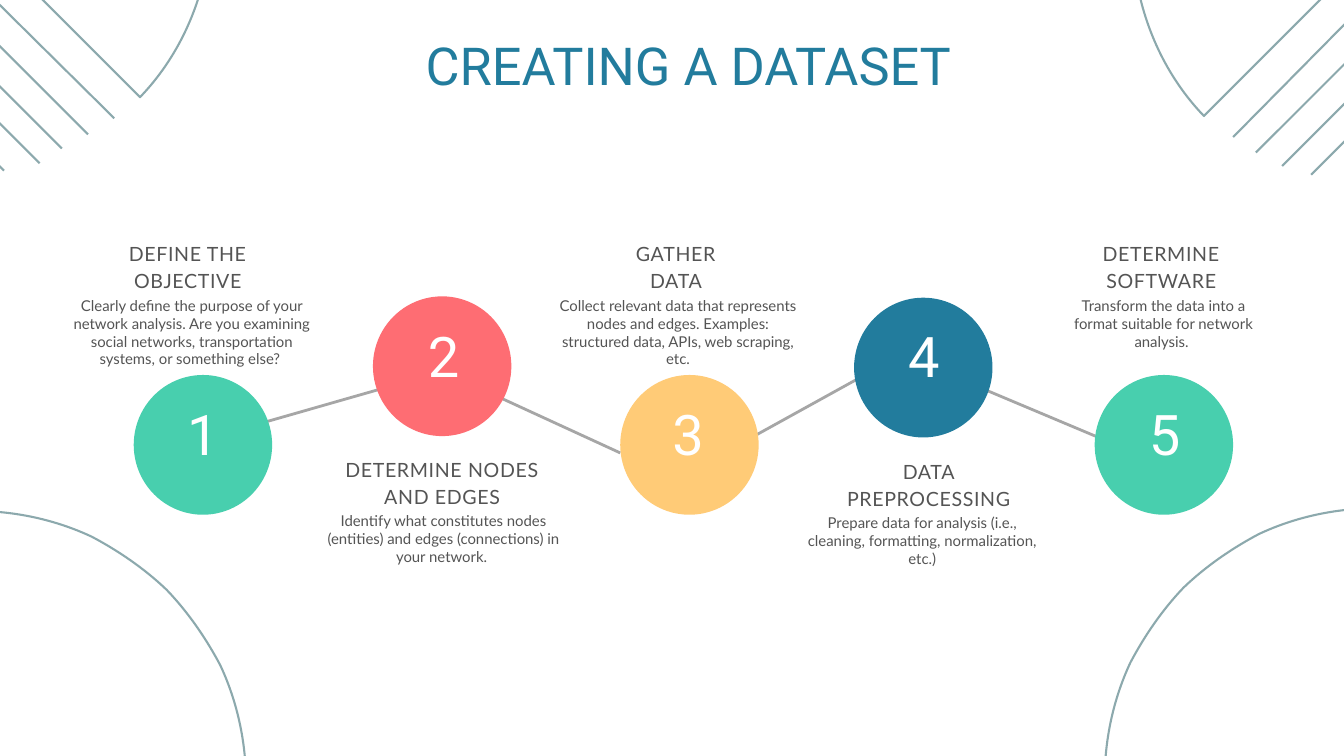
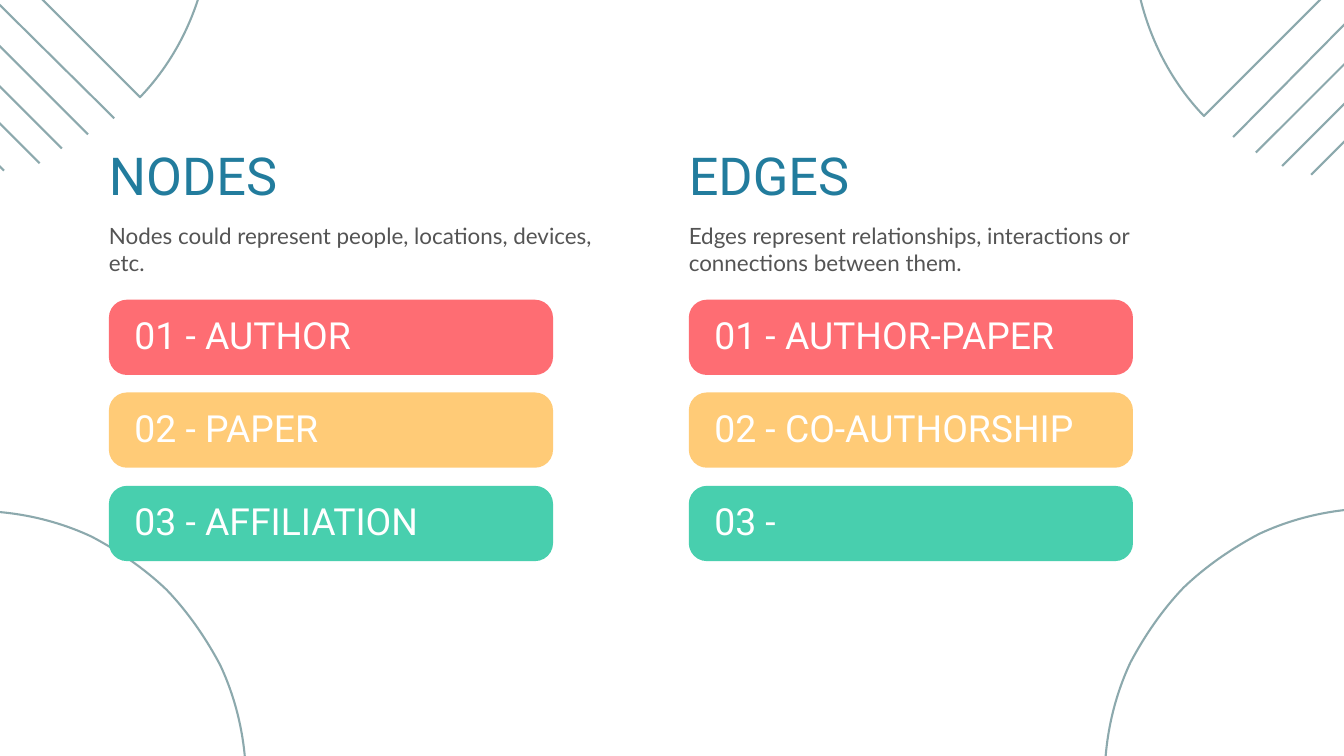
"""Builds two slides on creating a network dataset: five steps, then nodes and edges."""
from dataclasses import dataclass

from lxml import etree
from pptx import Presentation
from pptx.dml.color import RGBColor
from pptx.enum.shapes import MSO_CONNECTOR, MSO_SHAPE
from pptx.enum.text import MSO_AUTO_SIZE, PP_ALIGN
from pptx.oxml.ns import qn
from pptx.util import Pt

SCALE = 9144
PAGE_WIDTH, PAGE_HEIGHT = 2000, 1125
BLANK_LAYOUT = 6
LEFT, CENTER = PP_ALIGN.LEFT, PP_ALIGN.CENTER
OVAL, ROUNDED = MSO_SHAPE.OVAL, MSO_SHAPE.ROUNDED_RECTANGLE
STRAIGHT = MSO_CONNECTOR.STRAIGHT
FIT_TEXT = MSO_AUTO_SIZE.SHAPE_TO_FIT_TEXT


@dataclass(frozen=True)
class TextStyle:
    size: int
    leading: float
    font: str
    color: str
    tracking: float = 0


@dataclass(frozen=True)
class Theme:
    white: str = "FFFFFF"
    blue: str = "227C9D"
    green: str = "48CFAE"
    coral: str = "FE6D73"
    yellow: str = "FFCB77"
    link: str = "A6A6A6"
    outline: str = "8CA9AD"
    link_width: float = 3
    outline_width: float = 2.25
    title: TextStyle = TextStyle(56, 55.4, "Roboto", "227C9D")
    number: TextStyle = TextStyle(60, 44.8, "Roboto", "FFFFFF", 3.4)
    bar: TextStyle = TextStyle(40, 40, "Roboto", "FFFFFF")
    heading: TextStyle = TextStyle(21, 29.4, "Lato", "545454", 0.7)
    body: TextStyle = TextStyle(16, 19.2, "Lato", "545454")
    intro: TextStyle = TextStyle(24, 28.8, "Lato", "545454")


THEME = Theme()

DOME_WIDTH = 811
DOME_HALF = [(0, 390), (3, 229), (116, 79), (270, 23), (312, 10), (359, 1)]
DOME_TOP = (405, 0)
DOME_CURVE = DOME_HALF + [DOME_TOP] + [(DOME_WIDTH - x, y) for x, y in reversed(DOME_HALF)]
CORNER_DOMES = [
    (-346, -475, 45),
    (-295, 821, 45),
    (1535, -447, -45),
    (1494, 817, -45),
]
CORNER_STRIPES = [
    ((-397, -385), (170, 176)),
    ((-420, -351), (131, 200)),
    ((-440, -312), (92, 221)),
    ((-454, -270), (59, 243)),
    ((-469, -221), (6, 254)),
    ((1835, 204), (2396, -364)),
    ((1869, 227), (2420, -324)),
    ((1908, 247), (2441, -286)),
    ((1951, 260), (2464, -253)),
]

CIRCLE_WIDTH, CIRCLE_HEIGHT = 206, 208
HEADING_HEIGHT, BODY_DROP = 80, 87
STEP_LINKS = [
    ((346, 642), (587, 573)),
    ((1077, 674), (1276, 564)),
    ((923, 674), (712, 577)),
    ((1630, 649), (1428, 564)),
]


@dataclass(frozen=True)
class Step:
    circle: tuple
    number_place: tuple
    color: str
    heading: str
    heading_place: tuple
    body: str
    body_place: tuple


STEPS = [
    Step((199, 558), (199, 633), THEME.green, "DEFINE THE OBJECTIVE", (138, 354, 283),
         "Clearly define the purpose of your network analysis. Are you examining "
         "social networks, transportation systems, or something else? ", (93, 385, 107)),
    Step((555, 441), (557, 516), THEME.coral, "DETERMINE NODES AND EDGES", (512, 675, 292),
         "Identify what constitutes nodes (entities) and edges (connections) in "
         "your network. ", (464, 392, 80)),
    Step((923, 558), (921, 632), THEME.yellow, "GATHER DATA", (928, 354, 156),
         "Collect relevant data that represents nodes and edges. Examples: "
         "structured data, APIs, web scraping, etc.", (822, 374, 107)),
    Step((1271, 443), (1272, 516), THEME.blue, "DATA PREPROCESSING", (1253, 678, 258),
         "Prepare data for analysis (i.e., cleaning, formatting, normalization, "
         "etc.)", (1196, 353, 80)),
    Step((1629, 558), (1630, 632), THEME.green, "DETERMINE SOFTWARE", (1592, 354, 272),
         "Transform the data into a format suitable for network analysis. ",
         (1588, 287, 80)),
]

BAR_COLORS = [THEME.coral, THEME.yellow, THEME.green]
BAR_WIDTH, BAR_HEIGHT, BAR_TOP, TWO_BARS_PITCH = 661, 112, 446, 277
COLUMNS = [
    (162, "NODES", "Nodes could represent people, locations, devices, etc.",
     ["01 - AUTHOR", "02 - PAPER", "03 - AFFILIATION"]),
    (1025, "EDGES",
     "Edges represent relationships, interactions or connections between them.",
     ["01 - AUTHOR-PAPER", "02 - CO-AUTHORSHIP", "03 -"]),
]


def px(*lengths):
    return [length * SCALE for length in lengths]


def rgb(color):
    return RGBColor.from_string(color)


def write(box, text, style, align=LEFT):
    frame = box.text_frame
    frame.word_wrap = True
    frame.auto_size = FIT_TEXT
    frame.margin_left = frame.margin_right = 0
    frame.margin_top = frame.margin_bottom = 0
    para = frame.paragraphs[0]
    para.alignment = align
    para.line_spacing = Pt(style.leading)
    span = para.add_run()
    span.text = text
    span.font.size = Pt(style.size)
    span.font.name = style.font
    span.font.color.rgb = rgb(style.color)
    if style.tracking:
        span.font._element.set("spc", str(round(style.tracking * 100)))


def bend(shape):
    segments = list(shape._element.iter(qn("a:lnTo")))
    for first in range(0, len(segments), 3):
        curve, *others = segments[first:first + 3]
        curve.tag = qn("a:cubicBezTo")
        for other in others:
            curve.append(other[0])
            other.getparent().remove(other)


class DeckBuilder:
    def __init__(self, theme):
        self.theme = theme
        self.deck = Presentation()
        self.deck.slide_width, self.deck.slide_height = px(PAGE_WIDTH, PAGE_HEIGHT)
        self.page = None

    def add_page(self):
        self.page = self.deck.slides.add_slide(self.deck.slide_layouts[BLANK_LAYOUT])
        fill = self.page.background.fill
        fill.solid()
        fill.fore_color.rgb = rgb(self.theme.white)

    def corners(self):
        for left, top, angle in CORNER_DOMES:
            self.dome(left, top, angle)
        for start, end in CORNER_STRIPES:
            self.line(start, end, self.theme.outline, self.theme.outline_width)

    def text(self, text, left, top, width, height, style, align=LEFT):
        box = self.page.shapes.add_textbox(*px(left, top, width, height))
        write(box, text, style, align)

    def shape(self, kind, left, top, width, height, color):
        shape = self.page.shapes.add_shape(kind, *px(left, top, width, height))
        shape.shadow.inherit = False
        shape.fill.solid()
        shape.fill.fore_color.rgb = rgb(color)
        shape.line.fill.background()
        return shape

    def line(self, start, end, color, width):
        line = self.page.shapes.add_connector(STRAIGHT, *px(*start, *end))
        line.line.color.rgb = rgb(color)
        line.line.width = Pt(width)
        etree.SubElement(line._element.spPr, qn("a:effectLst"))

    def dome(self, left, top, angle):
        points = [px(left + x, top + y) for x, y in DOME_CURVE]
        outline = self.page.shapes.build_freeform(*points[0])
        outline.add_line_segments(points[1:], close=False)
        outline.add_line_segments([], close=True)
        dome = outline.convert_to_shape()
        bend(dome)
        dome.rotation = angle
        dome.shadow.inherit = False
        dome.fill.background()
        dome.line.color.rgb = rgb(self.theme.outline)
        dome.line.width = Pt(self.theme.outline_width)

    def step(self, number, step):
        self.shape(OVAL, *step.circle, CIRCLE_WIDTH, CIRCLE_HEIGHT, step.color)
        self.text(str(number), *step.number_place, CIRCLE_WIDTH, 63,
                  self.theme.number, CENTER)
        left, top, width = step.heading_place
        self.text(step.heading, left, top, width, HEADING_HEIGHT,
                  self.theme.heading, CENTER)
        left, width, height = step.body_place
        self.text(step.body, left, top + BODY_DROP, width, height,
                  self.theme.body, CENTER)

    def bar(self, text, left, top, color):
        bar = self.shape(ROUNDED, left, top, BAR_WIDTH, BAR_HEIGHT, color)
        bar.adjustments[0] = 0.24
        self.text(text, left + 38, top + 30, 581, 56, self.theme.bar)

    def column(self, left, title, intro, labels):
        self.text(title, left, 229, 762, 77, self.theme.title)
        self.text(intro, left, 331, 734, 81, self.theme.intro)
        for index, (label, color) in enumerate(zip(labels, BAR_COLORS)):
            self.bar(label, left, BAR_TOP + index * TWO_BARS_PITCH // 2, color)


def main():
    builder = DeckBuilder(THEME)

    builder.add_page()
    for start, end in STEP_LINKS:
        builder.line(start, end, THEME.link, THEME.link_width)
    builder.text("CREATING A DATASET", 592, 66, 865, 77, THEME.title, CENTER)
    for number, step in enumerate(STEPS, start=1):
        builder.step(number, step)
    builder.corners()

    builder.add_page()
    builder.corners()
    for column in COLUMNS:
        builder.column(*column)

    builder.deck.save("out.pptx")


if __name__ == "__main__":
    main()
